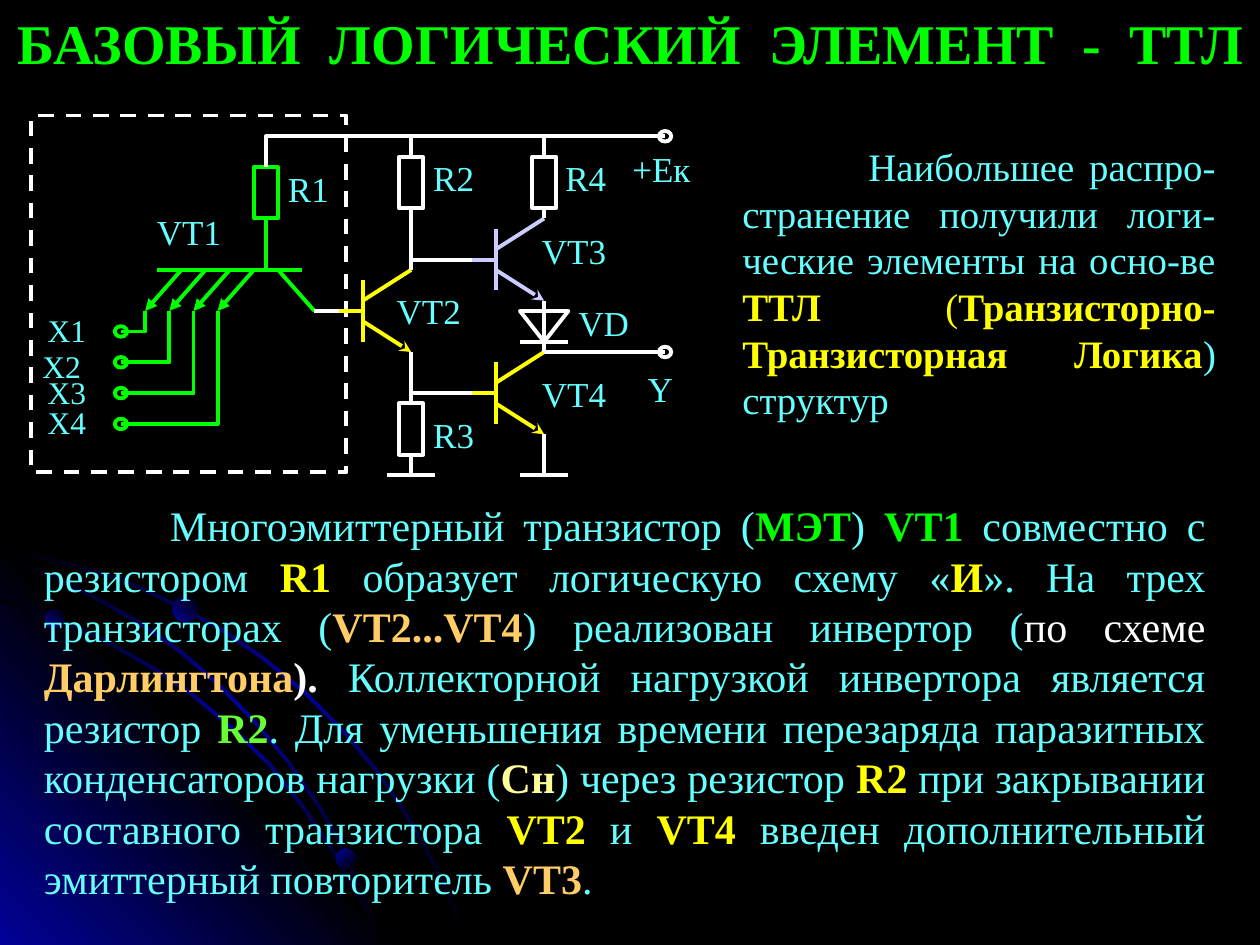
from lxml import etree
from pptx import Presentation
from pptx.dml.color import RGBColor
from pptx.enum.dml import MSO_LINE
from pptx.enum.shapes import MSO_CONNECTOR, MSO_SHAPE
from pptx.enum.text import MSO_ANCHOR, MSO_AUTO_SIZE, PP_ALIGN
from pptx.oxml.ns import qn
from pptx.util import Pt

STRAIGHT = MSO_CONNECTOR.STRAIGHT
RECTANGLE, OVAL = MSO_SHAPE.RECTANGLE, MSO_SHAPE.OVAL
DASH = MSO_LINE.DASH
CENTER, JUSTIFY = PP_ALIGN.CENTER, PP_ALIGN.JUSTIFY
MIDDLE, TOP = MSO_ANCHOR.MIDDLE, MSO_ANCHOR.TOP
NO_AUTOFIT = MSO_AUTO_SIZE.NONE

FONT = "Times New Roman"
BLACK, WHITE, BLUE = "000000", "FFFFFF", "010199"
CYAN, GREEN, YELLOW = "66FFFF", "00FF00", "FFFF00"
LILAC, ORANGE = "CCCCFF", "FFCC66"

# Circuit grid: column width, row height, position of the supply rail
COLUMN, ROW, RAIL = 6.91, 5.87, 77.9

# Upper edges of the background arcs
ARCS = [
    [(0, 313.2), (41, 321.8), (70.6, 330.5), (97.9, 343.4), (125.3, 357.8),
     (150.5, 375.1), (174.2, 394.6), (195.8, 416.2), (216, 439.9),
     (234, 466.6), (244.1, 484.6), (253.4, 502.6), (260.6, 520.6), (267.8, 539.3)],
    [(0, 342), (29.5, 351.4), (56.9, 363.6), (84.2, 378.7), (109.4, 395.3),
     (132.5, 414.7), (154.8, 436.3), (174.2, 460.8), (191.5, 486.7),
     (205.9, 512.6), (213.1, 525.6), (218.2, 539.3)],
    [(0, 318.2), (28.1, 327.6), (54.7, 340.6), (79.9, 355), (103.7, 371.5),
     (126, 391), (146.9, 412.6), (164.9, 434.2), (182.9, 460.1),
     (193.7, 478.8), (203, 499), (211.7, 518.4), (218.2, 539.3)],
]

TITLE = "БАЗОВЫЙ ЛОГИЧЕСКИЙ ЭЛЕМЕНТ - ТТЛ"
INTRODUCTION = [
    ("Наибольшее распро-странение получили логи-ческие элементы на осно-ве ", CYAN, False),
    ("ТТЛ", YELLOW, True), (" (", YELLOW, False),
    ("Транзисторно-Транзисторная Логика", YELLOW, True), (") структур", CYAN, False),
]
DESCRIPTION = [
    ("Многоэмиттерный транзистор (", CYAN, False), ("МЭТ", GREEN, True),
    (") ", CYAN, False), ("VT1", GREEN, True),
    (" совместно с резистором ", CYAN, False), ("R1", YELLOW, True),
    (" образует логическую схему «", CYAN, False), ("И", YELLOW, True),
    ("». На трех транзисторах (", CYAN, False), ("VT2...VT4", ORANGE, True),
    (") реализован инвертор (", CYAN, False), ("по схеме ", WHITE, False),
    ("Дарлингтона", ORANGE, True), ("). ", WHITE, True),
    ("Коллекторной нагрузкой инвертора является резистор ", CYAN, False),
    ("R2", "66FF33", True),
    (". Для уменьшения времени перезаряда паразитных конденсаторов нагрузки (", CYAN, False),
    ("Сн", "FFFF99", True), (") через резистор ", CYAN, False), ("R2", YELLOW, True),
    (" при закрывании составного транзистора ", CYAN, False), ("VT2", YELLOW, True),
    (" и ", CYAN, False), ("VT4", YELLOW, True),
    (" введен дополнительный эмиттерный повторитель ", CYAN, False),
    ("VT3", ORANGE, True), (".", CYAN, False),
]
# Text, left, top, width, size
LABELS = [
    ("+Ек", 354, 84, 48, 20), ("VD", 324.5, 172, 41, 20), ("Y", 360, 210, 34.5, 20),
    ("VT1", 84, 120, 48, 20), ("VT2", 221, 165.6, 48, 20),
    ("VT3", 304, 131, 48, 20), ("VT4", 304, 213, 48, 20),
    ("R1", 159, 95.8, 34.5, 20), ("R2", 242, 89.3, 34.5, 20),
    ("R3", 242, 236, 34.5, 20), ("R4", 317.5, 89.3, 34.5, 20),
    ("X1", 21, 178, 34.5, 18), ("X2", 18, 198, 34.5, 18),
    ("X3", 21, 213, 34.5, 18), ("X4", 21, 230.4, 34.5, 18),
]


def color(value):
    return RGBColor.from_string(value)


def grid(column, row):
    return Pt(column * COLUMN), Pt(RAIL + row * ROW)


def set_line(shape, line_color):
    shape.line.color.rgb = color(line_color)
    shape.line.width = Pt(2.25)


def set_gradient(shape, colors, angle):
    shape.shadow.inherit = False
    shape.line.fill.background()
    shape.fill.gradient()
    gradient = shape.fill._xPr.find(qn("a:gradFill"))
    for child in list(gradient):
        gradient.remove(child)
    stops = etree.SubElement(gradient, qn("a:gsLst"))
    for index, value in enumerate(colors):
        position = str(100000 * index // (len(colors) - 1))
        stop = etree.SubElement(stops, qn("a:gs"), pos=position)
        etree.SubElement(stop, qn("a:srgbClr"), val=value)
    etree.SubElement(gradient, qn("a:lin"), ang=str(angle * 60000), scaled="0")


def add_outline(slide, points, close):
    builder = slide.shapes.build_freeform(*points[0])
    builder.add_line_segments(points[1:], close=close)
    shape = builder.convert_to_shape()
    shape.shadow.inherit = False
    return shape


def add_path(slide, cells, line_color, close=False):
    shape = add_outline(slide, [grid(*cell) for cell in cells], close)
    shape.fill.background()
    set_line(shape, line_color)


def add_wire(slide, start, end, line_color=WHITE, arrow=None):
    wire = slide.shapes.add_connector(STRAIGHT, *grid(*start), *grid(*end))
    set_line(wire, line_color)
    if arrow:
        etree.SubElement(wire.line._get_or_add_ln(), qn("a:tailEnd"), type=arrow)
    etree.SubElement(wire._element.spPr, qn("a:effectLst"))


def add_hollow(slide, kind, left, top, width, height, line_color=WHITE):
    shape = slide.shapes.add_shape(kind, left, top, width, height)
    shape.shadow.inherit = False
    shape.fill.background()
    set_line(shape, line_color)
    return shape


def add_resistor(slide, column, row, line_color=WHITE):
    add_hollow(slide, RECTANGLE, *grid(column - 1, row), Pt(2 * COLUMN), Pt(5 * ROW), line_color)


def add_terminal(slide, column, row, line_color=WHITE):
    x, y = grid(column, row)
    add_hollow(slide, OVAL, x - Pt(3.5), y - Pt(3), Pt(7), Pt(6), line_color)


def add_transistor(slide, column, row, line_color):
    add_wire(slide, (column, row - 3), (column, row + 3), line_color)
    add_wire(slide, (column, row - 1), (column + 4, row - 4), line_color)
    add_wire(slide, (column, row + 1), (column + 4, row + 4), line_color, "stealth")
    add_wire(slide, (column - 2, row), (column, row), line_color)


def place(shape, left, top, width, height):
    shape.left, shape.top, shape.width, shape.height = map(Pt, (left, top, width, height))


def format_paragraph(paragraph, size, alignment, margin=0, indent=0):
    properties = paragraph._p.get_or_add_pPr()
    properties.set("marL", str(Pt(margin)))
    properties.set("indent", str(Pt(indent)))
    etree.SubElement(properties, qn("a:buNone"))
    paragraph.alignment = alignment
    paragraph.space_before = Pt(0)
    paragraph.font.name = FONT
    paragraph.font.size = Pt(size)


def add_runs(paragraph, runs):
    for text, run_color, bold in runs:
        run = paragraph.add_run()
        run.text = text
        run.font.color.rgb = color(run_color)
        run.font.bold = bold


def fill_frame(shape, runs, size, alignment, anchor=TOP, margin=0, indent=0):
    frame = shape.text_frame
    frame.word_wrap = True
    frame.auto_size = NO_AUTOFIT
    frame.vertical_anchor = anchor
    paragraph = frame.paragraphs[0]
    format_paragraph(paragraph, size, alignment, margin, indent)
    add_runs(paragraph, runs)
    return frame


def add_text(slide, box, runs, size, alignment, indent=0):
    shape = slide.shapes.add_textbox(*map(Pt, box))
    return fill_frame(shape, runs, size, alignment, indent=indent)


def add_title(slide):
    title = slide.shapes.title
    place(title, 0, 0, 720, 48)
    runs = []
    for word in TITLE.split():
        runs += [(" ", GREEN, True), (word, GREEN, True)]
    frame = fill_frame(title, runs[1:], 32, CENTER, MIDDLE)
    # Widened gaps between the words
    for run in frame.paragraphs[0].runs[1::2]:
        run._r.get_or_add_rPr().set("spc", "800")


def add_background(slide):
    slide.background.fill.solid()
    slide.background.fill.fore_color.rgb = color(BLACK)
    corner = [(Pt(232), Pt(540)), (0, Pt(540)), (0, Pt(307.5))]
    set_gradient(add_outline(slide, corner, True), [BLUE, BLACK, BLUE], 135)
    for edge in ARCS:
        lower = [(max(x - 1, 0), min(y + 1.5, 540)) for x, y in reversed(edge)]
        points = [(Pt(x), Pt(y)) for x, y in edge + lower]
        set_gradient(add_outline(slide, points, True), [BLACK, BLUE, BLACK], 225)
    for left, top, size, angle in [(26, 348, 11, 135), (192, 485, 11.5, 225), (98.6, 340.5, 15, 135)]:
        ball = slide.shapes.add_shape(OVAL, Pt(left), Pt(top), Pt(size), Pt(size))
        set_gradient(ball, [BLACK, BLUE], angle)


def add_input_stage(slide):
    add_resistor(slide, 22, 3, GREEN)
    add_wire(slide, (22, 8), (22, 13), GREEN)
    add_wire(slide, (13, 13), (25, 13), GREEN)
    add_wire(slide, (23, 13), (26, 17), GREEN)
    # Four emitters, each with its input
    for index in range(4):
        column, row = 12 + 2 * index, 19 + 3 * index
        add_wire(slide, (column + 3, 13), (column, 17), GREEN, "triangle")
        add_path(slide, [(column, 17), (column, row), (10, row)], GREEN)
        add_terminal(slide, 10, row, GREEN)
    frame = add_hollow(slide, RECTANGLE, Pt(18), Pt(66), Pt(180), Pt(204))
    frame.line.dash_style = DASH


def add_inverter(slide):
    for column, row, line_color in [(30, 17, YELLOW), (41, 12, LILAC), (41, 25, YELLOW)]:
        add_transistor(slide, column, row, line_color)
    for column, row in [(34, 2), (45, 2), (34, 26)]:
        add_resistor(slide, column, row)
    # Supply rail
    add_path(slide, [(22, 3), (22, 0), (34, 0)], WHITE)
    add_path(slide, [(34, 2), (34, 0), (55, 0)], WHITE)
    # Diode
    add_path(slide, [(43, 17), (47, 17), (45, 20)], WHITE, close=True)
    wires = [
        ((43, 20), (47, 20)), ((45, 16), (45, 21)), ((45, 21), (55, 21)),
        ((34, 7), (34, 13)), ((34, 21), (34, 26)), ((39, 25), (34, 25)),
        ((45, 7), (45, 8)), ((39, 12), (34, 12)), ((45, 2), (45, 0)),
        ((26, 17), (28, 17)), ((34, 31), (34, 33)), ((32, 33), (36, 33)),
        ((45, 29), (45, 33)), ((43, 33), (47, 33)),
    ]
    for start, end in wires:
        add_wire(slide, start, end)
    for row in (0, 21):
        add_terminal(slide, 55, row)


def add_labels(slide):
    for text, left, top, width, size in LABELS:
        frame = add_text(slide, (left, top, width, 24), [(text, CYAN, False)], size, CENTER)
        frame.margin_left = frame.margin_right = frame.margin_top = frame.margin_bottom = 0


def main():
    presentation = Presentation()
    presentation.slide_width, presentation.slide_height = Pt(720), Pt(540)
    slide = presentation.slides.add_slide(presentation.slide_layouts[1])
    add_background(slide)
    add_title(slide)
    body = slide.placeholders[1]
    place(body, 390, 78, 312, 198)
    fill_frame(body, INTRODUCTION, 22.2, JUSTIFY, margin=27, indent=72)
    add_input_stage(slide)
    add_inverter(slide)
    add_labels(slide)
    add_text(slide, (18, 282, 678, 238), DESCRIPTION, 24, JUSTIFY, indent=72)
    presentation.save("out.pptx")


if __name__ == "__main__":
    main()
